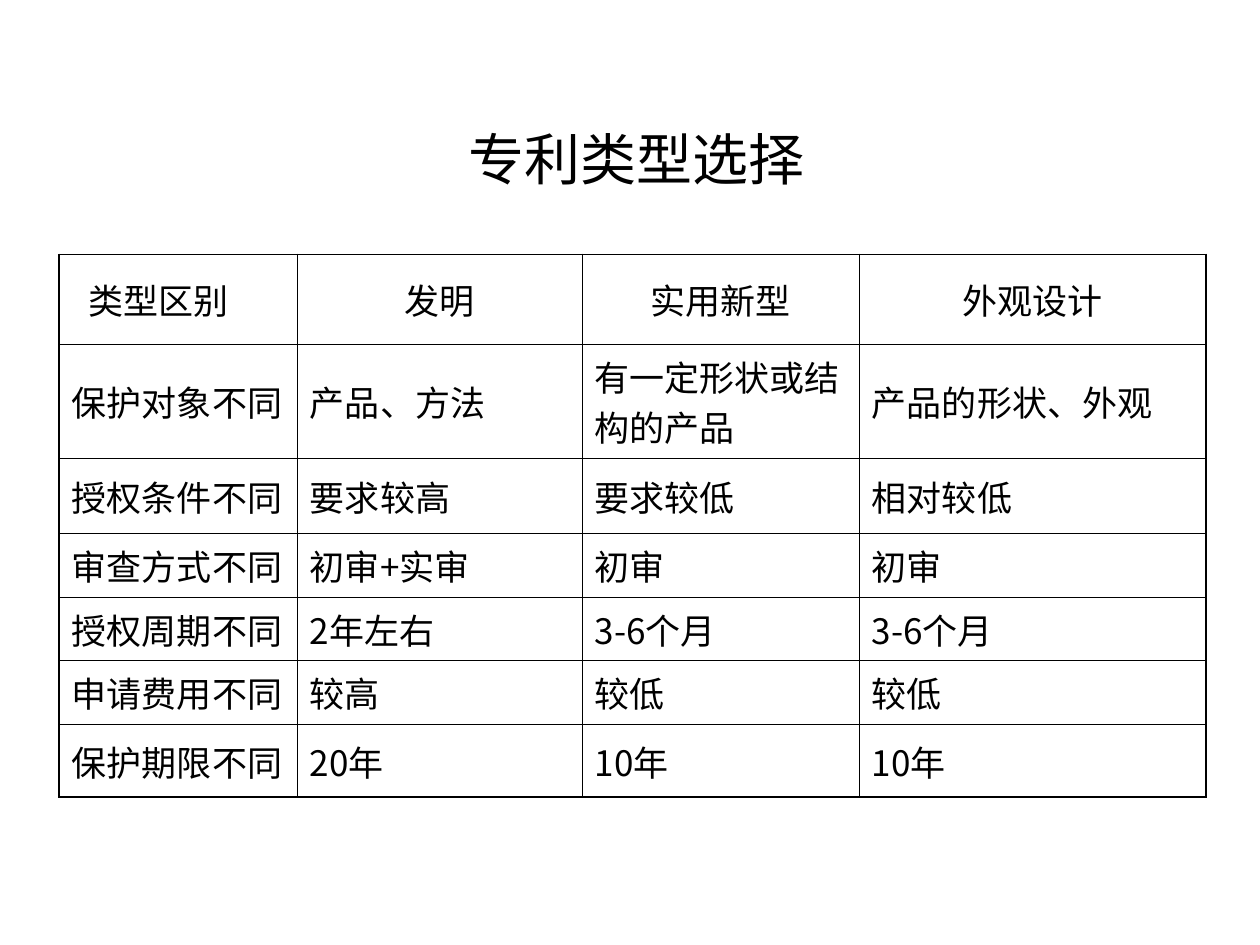
from pptx import Presentation
from pptx.dml.color import RGBColor
from pptx.enum.text import MSO_ANCHOR, MSO_AUTO_SIZE, PP_ALIGN
from pptx.oxml.ns import qn
from pptx.util import Inches, Pt
from lxml.etree import SubElement

FONT = "Noto Sans CJK SC"
INK = "000000"
THIN, THICK = 0.45, 1.08
COLUMN_WIDTHS = [1.89, 2.26, 2.2, 2.75]
ROW_HEIGHTS = [0.71, 0.77, 0.6, 0.47, 0.44, 0.5, 0.58]
ROWS = [
    ["类型区别", "发明", "实用新型", "外观设计"],
    ["保护对象不同", "产品、方法", "有一定形状或结构的产品", "产品的形状、外观"],
    ["授权条件不同", "要求较高", "要求较低", "相对较低"],
    ["审查方式不同", "初审+实审", "初审", "初审"],
    ["授权周期不同", "2年左右", "3-6个月", "3-6个月"],
    ["申请费用不同", "较高", "较低", "较低"],
    ["保护期限不同", "20年", "10年", "10年"],
]


def color(value):
    """Turn a hex string into a colour."""
    return RGBColor.from_string(value)


def write(frame, text, size, align):
    """Write one styled paragraph into a text frame."""
    paragraph = frame.paragraphs[0]
    paragraph.text = text
    paragraph.alignment = align
    font = paragraph.font
    font.size, font.name = Pt(size), FONT
    font.color.rgb = color(INK)
    properties = paragraph._p.pPr.find(qn("a:defRPr"))
    SubElement(properties, qn("a:ea")).set("typeface", FONT)


def add_border(cell, side, width):
    """Draw one solid border of a cell."""
    line = SubElement(cell._tc.get_or_add_tcPr(), qn(f"a:ln{side}"), w=str(Pt(width)))
    fill = SubElement(line, qn("a:solidFill"))
    SubElement(fill, qn("a:srgbClr"), val=INK)


def add_title(page, text):
    """Add the centred slide title."""
    box = page.shapes.add_textbox(Inches(3.62), Inches(0.94), Inches(2.87), Inches(0.64))
    frame = box.text_frame
    frame.word_wrap = False
    frame.auto_size = MSO_AUTO_SIZE.SHAPE_TO_FIT_TEXT
    write(frame, text, 32, PP_ALIGN.CENTER)


def add_comparison(page):
    """Add the table that compares the patent types."""
    last_row, last_column = len(ROWS) - 1, len(COLUMN_WIDTHS) - 1
    table = page.shapes.add_table(
        len(ROWS), len(COLUMN_WIDTHS), Inches(0.47), Inches(2.02),
        Inches(sum(COLUMN_WIDTHS)), Inches(sum(ROW_HEIGHTS))).table
    table.first_row = table.horz_banding = False
    for column, width in zip(table.columns, COLUMN_WIDTHS):
        column.width = Inches(width)
    for row, height in zip(table.rows, ROW_HEIGHTS):
        row.height = Inches(height)
    for i, texts in enumerate(ROWS):
        for j, text in enumerate(texts):
            cell = table.cell(i, j)
            cell.vertical_anchor = MSO_ANCHOR.MIDDLE
            centred = i == 0 and j > 0
            write(cell.text_frame, text, 20, PP_ALIGN.CENTER if centred else PP_ALIGN.LEFT)
            outer = {"L": j == 0, "R": j == last_column, "T": i == 0, "B": i == last_row}
            for side, thick in outer.items():
                add_border(cell, side, THICK if thick else THIN)
            cell.fill.background()
    table.cell(0, 0).margin_left = Inches(0.23)


def main():
    """Build and save the deck."""
    deck = Presentation()
    deck.slide_width, deck.slide_height = Inches(10), Inches(7.5)
    page = deck.slides.add_slide(deck.slide_layouts[6])
    add_comparison(page)
    add_title(page, "专利类型选择")
    deck.save("out.pptx")


if __name__ == "__main__":
    main()
